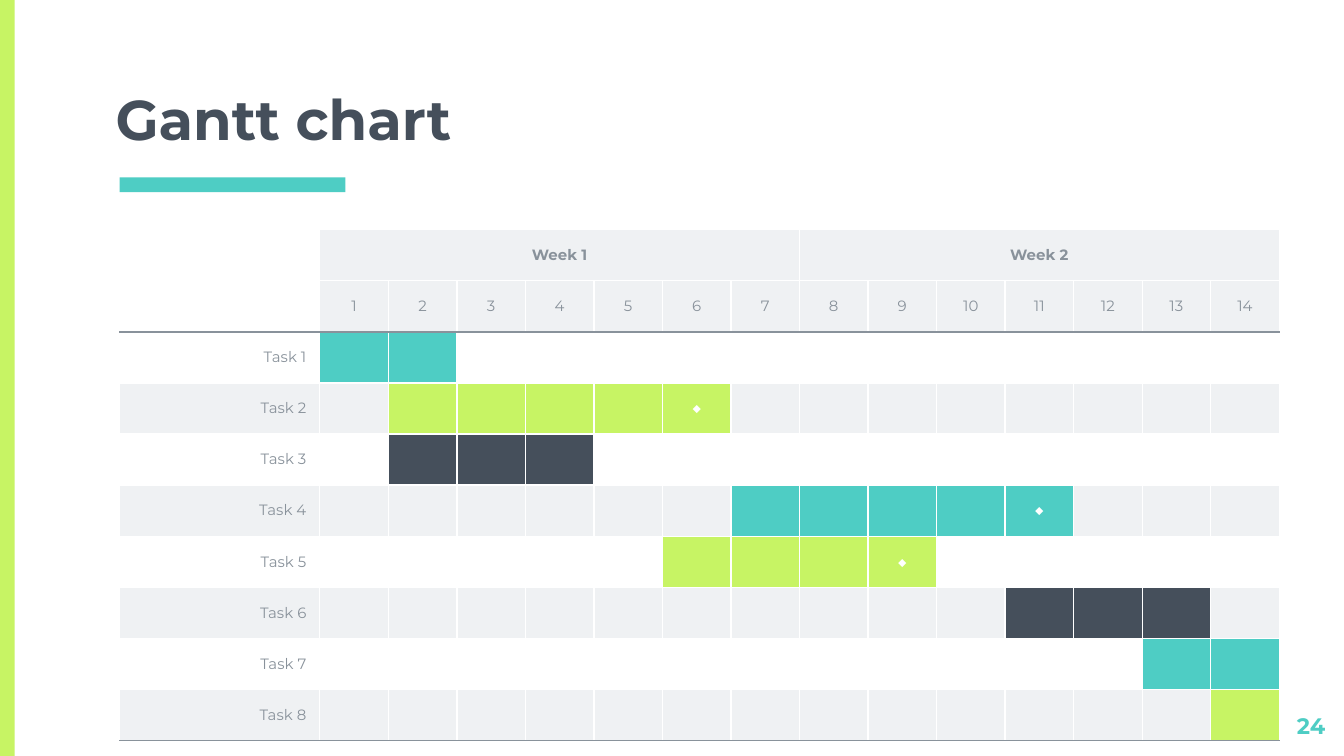
from lxml import etree
from pptx import Presentation
from pptx.dml.color import RGBColor
from pptx.enum.shapes import MSO_SHAPE
from pptx.enum.text import MSO_ANCHOR, PP_ALIGN
from pptx.oxml.ns import qn
from pptx.util import Inches, Pt

RECTANGLE = MSO_SHAPE.RECTANGLE
MIDDLE, BOTTOM, TOP = MSO_ANCHOR.MIDDLE, MSO_ANCHOR.BOTTOM, MSO_ANCHOR.TOP
LEFT, CENTER, RIGHT = PP_ALIGN.LEFT, PP_ALIGN.CENTER, PP_ALIGN.RIGHT

# Content
TITLE = "Gantt chart"
PAGE_NUMBER = "24"
WEEKS = ["Week 1", "Week 2"]
DAYS_PER_WEEK = 7
MILESTONE = "◆"
TASKS = [  # name, first day, last day, colour, milestone day
    ("Task 1", 1, 2, "teal", None),
    ("Task 2", 2, 6, "lime", 6),
    ("Task 3", 2, 4, "slate", None),
    ("Task 4", 7, 11, "teal", 11),
    ("Task 5", 6, 9, "lime", 9),
    ("Task 6", 11, 13, "slate", None),
    ("Task 7", 13, 14, "teal", None),
    ("Task 8", 14, 14, "lime", None),
]

THEME = {
    "font": "Montserrat",
    "sizes": {"title": 30, "number": 12, "table": 8},
    "colours": {"teal": "4ECDC4", "lime": "C7F464", "slate": "454F5B",
                "grey": "89929B", "pale": "EFF1F3", "white": "FFFFFF"},
}
PAGE_WIDTH = 10
PAGE_HEIGHT = PAGE_WIDTH * 9 / 16
BORDER_WIDTH = Pt(0.75)
HEADER_ROWS = 2
NAME_WIDTH, DAY_WIDTH, ROW_HEIGHT = 1.49, 0.51, 0.38


def colour(name):
    return RGBColor.from_string(THEME["colours"][name])


def write(frame, text, size="table", ink="grey", bold=False, align=LEFT):
    para = frame.paragraphs[0]
    para.alignment = align
    span = para.add_run()
    span.text = text
    span.font.name = THEME["font"]
    span.font.size = Pt(THEME["sizes"][size])
    span.font.bold = bold
    span.font.color.rgb = colour(ink)


def set_frame(frame, anchor):
    frame.word_wrap = True
    frame.vertical_anchor = anchor
    frame.margin_left = frame.margin_right = Inches(0.1)
    frame.margin_top = frame.margin_bottom = Inches(0.1)


def place(shape, left, top, width, height):
    shape.left, shape.top = Inches(left), Inches(top)
    shape.width, shape.height = Inches(width), Inches(height)


def add_bar(page, left, top, width, height, fill):
    bar = page.shapes.add_shape(RECTANGLE, Inches(left), Inches(top),
                                Inches(width), Inches(height))
    bar.shadow.inherit = False
    bar.fill.solid()
    bar.fill.fore_color.rgb = colour(fill)
    bar.line.fill.background()


def set_borders(cell, top, bottom):
    properties = cell._tc.get_or_add_tcPr()
    sides = {"lnL": "white", "lnR": "white", "lnT": top, "lnB": bottom}
    for index, (side, ink) in enumerate(sides.items()):
        line = etree.Element(qn(f"a:{side}"), w=str(BORDER_WIDTH))
        solid = etree.SubElement(line, qn("a:solidFill"))
        etree.SubElement(solid, qn("a:srgbClr"), val=THEME["colours"][ink])
        properties.insert(index, line)


def format_cell(cell, fill, top="white", bottom="white"):
    cell.vertical_anchor = MIDDLE
    if fill:
        cell.fill.solid()
        cell.fill.fore_color.rgb = colour(fill)
    else:
        cell.fill.background()
    set_borders(cell, top, bottom)
    # Keeps empty cells from stretching their row
    end = cell.text_frame.paragraphs[0]._p.get_or_add_endParaRPr()
    end.set("sz", str(THEME["sizes"]["table"] * 100))


def cell_fill(row, column):
    if row < HEADER_ROWS:
        return "pale" if column else None
    task = row - HEADER_ROWS
    _, first, last, fill, _ = TASKS[task]
    if first <= column <= last:
        return fill
    return "pale" if task % 2 else None


def add_gantt(page):
    day_count = len(WEEKS) * DAYS_PER_WEEK
    row_count = HEADER_ROWS + len(TASKS)
    table = page.shapes.add_table(
        row_count, day_count + 1, Inches(0.89), Inches(1.71),
        Inches(NAME_WIDTH + day_count * DAY_WIDTH),
        Inches(row_count * ROW_HEIGHT)).table
    table.first_row = table.horz_banding = False
    for index, column in enumerate(table.columns):
        column.width = Inches(DAY_WIDTH if index else NAME_WIDTH)

    # Fills and rules
    for r, row in enumerate(table.rows):
        row.height = Inches(ROW_HEIGHT)
        top = "grey" if r == HEADER_ROWS else "white"
        bottom = "grey" if r in (HEADER_ROWS - 1, row_count - 1) else "white"
        for c, cell in enumerate(row.cells):
            format_cell(cell, cell_fill(r, c), top, bottom)

    # Week and day headings
    for index, week in enumerate(WEEKS):
        first = 1 + index * DAYS_PER_WEEK
        heading = table.cell(0, first)
        heading.merge(table.cell(0, first + DAYS_PER_WEEK - 1))
        write(heading.text_frame, week, bold=True, align=CENTER)
    for day in range(1, day_count + 1):
        write(table.cell(1, day).text_frame, str(day), align=CENTER)

    # Task names and milestones
    for r, (name, _, _, _, milestone) in enumerate(TASKS, HEADER_ROWS):
        write(table.cell(r, 0).text_frame, name, align=RIGHT)
        if milestone:
            write(table.cell(r, milestone).text_frame, MILESTONE,
                  ink="white", align=CENTER)


def main():
    deck = Presentation()
    deck.slide_width = Inches(PAGE_WIDTH)
    deck.slide_height = Inches(PAGE_HEIGHT)
    page = deck.slides.add_slide(deck.slide_layouts[5])

    # Side band and title underline
    add_bar(page, 0, 0, 0.11, PAGE_HEIGHT, "lime")
    add_bar(page, 0.89, 1.32, 1.68, 0.11, "teal")

    # Title
    title = page.shapes.title
    place(title, 0.76, 0.69, 8.49, 0.54)
    set_frame(title.text_frame, BOTTOM)
    write(title.text_frame, TITLE, size="title", ink="slate", bold=True)

    # Page number
    number = page.shapes.add_textbox(0, 0, 0, 0)
    place(number, 9.36, 5.2, 0.6, 0.34)
    set_frame(number.text_frame, TOP)
    write(number.text_frame, PAGE_NUMBER, size="number", ink="teal",
          bold=True, align=RIGHT)

    add_gantt(page)
    deck.save("out.pptx")


if __name__ == "__main__":
    main()
